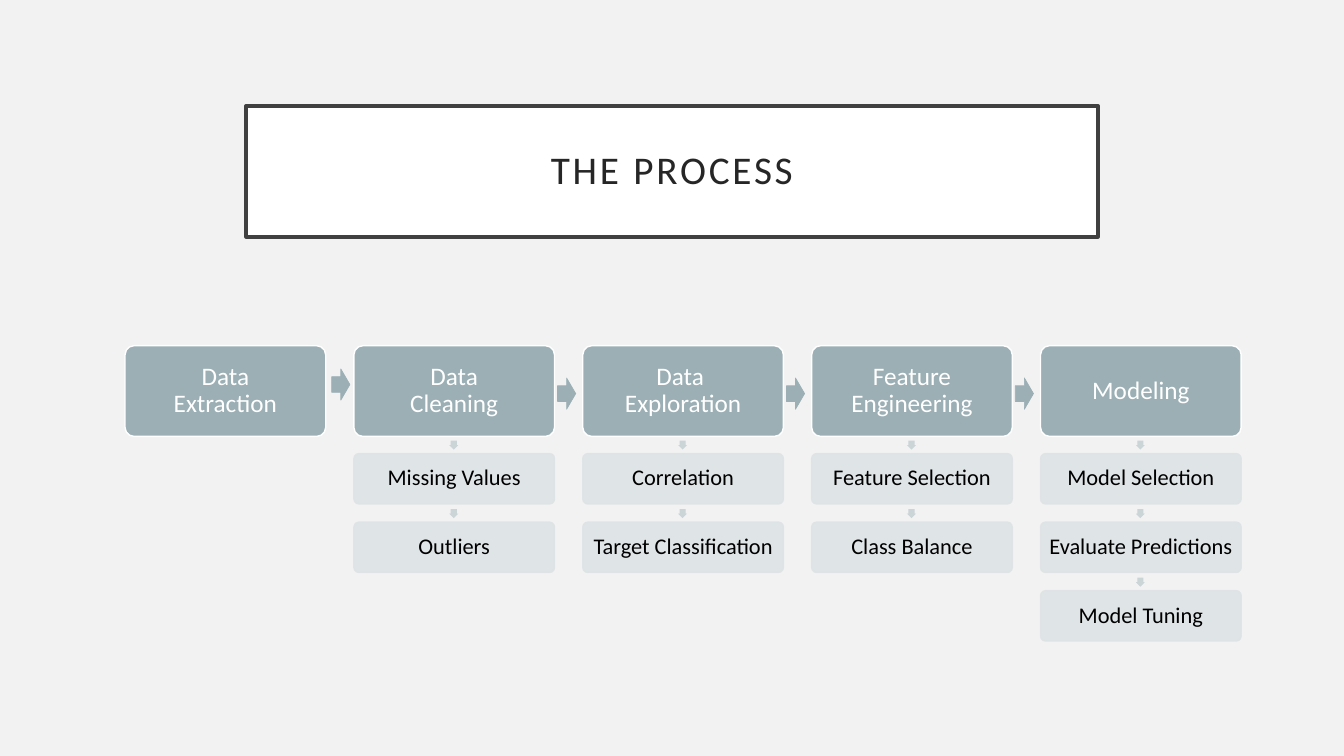
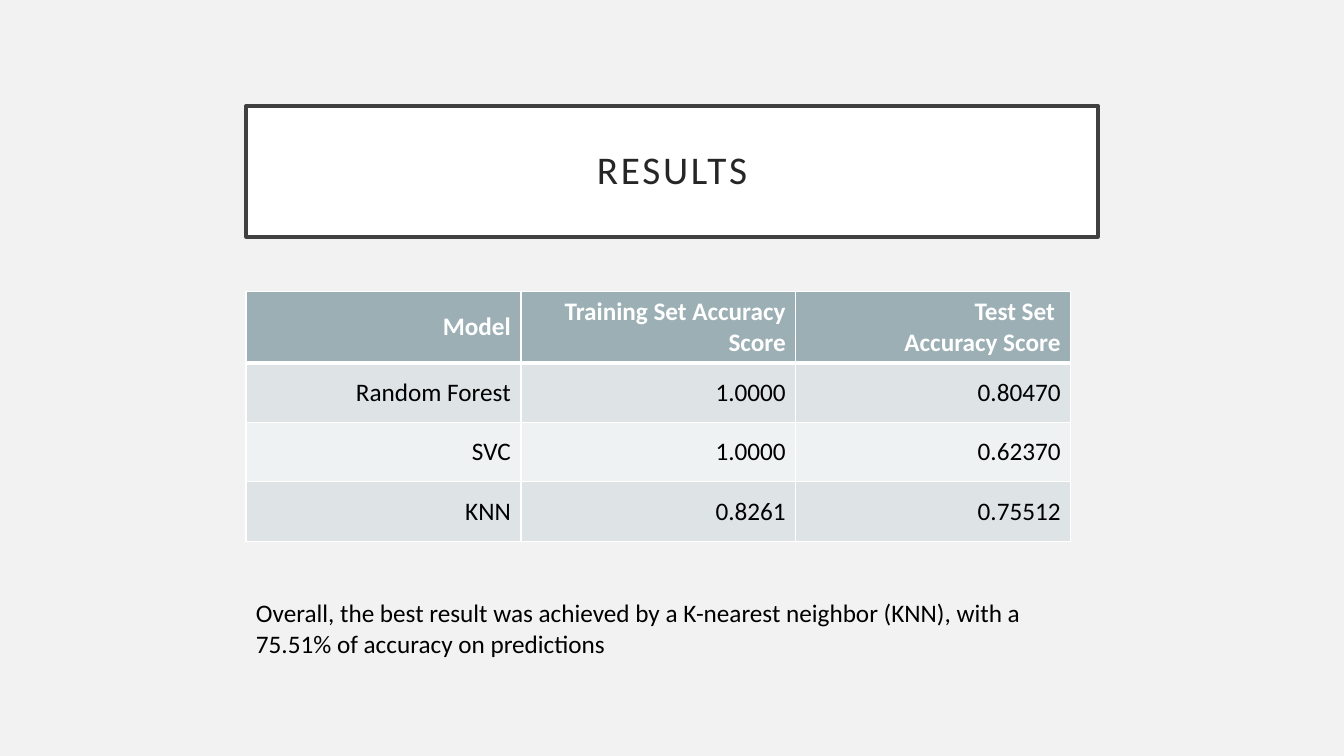
from lxml.etree import SubElement
from pptx import Presentation
from pptx.dml.color import RGBColor as RGB
from pptx.enum.shapes import MSO_SHAPE as SHAPE
from pptx.enum.text import MSO_ANCHOR as ANCHOR, PP_ALIGN as ALIGN
from pptx.oxml.ns import qn
from pptx.util import Inches, Pt

HUES = {
    "back": "F2F2F2", "white": "FFFFFF", "frame": "404040", "title": "262626",
    "black": "000000", "main": "9BAFB5", "arrow": "CBD4D7", "step": "DEE3E5",
    "pale": "EFF2F3",
}
FONT = "Calibri"
STAGES = [
    ("Data\nExtraction", []),
    ("Data\nCleaning", ["Missing Values", "Outliers"]),
    ("Data \nExploration", ["Correlation", "Target Classification"]),
    ("Feature Engineering", ["Feature Selection", "Class Balance"]),
    ("Modeling", ["Model Selection", "Evaluate Predictions", "Model Tuning"]),
]
SCORES = [
    ("Model", "Training Set Accuracy Score", "Test Set \nAccuracy Score"),
    ("Random Forest", "1.0000", "0.80470"),
    ("SVC", "1.0000", "0.62370"),
    ("KNN", "0.8261", "0.75512"),
]
NOTE = ("Overall, the best result was achieved by a K-nearest neighbor (KNN), "
        "with a 75.51% of accuracy on predictions")


def hue(name):
    """Return the named colour."""
    return RGB.from_string(HUES[name])


def write(frame, text, size=18, color="black", align=ALIGN.CENTER, bold=False,
          space=None, lead=None, inset=None, track=0):
    """Put formatted text in a frame."""
    frame.word_wrap = True
    if inset is not None:
        frame.margin_left = frame.margin_right = Inches(inset)
        frame.margin_top = frame.margin_bottom = Inches(inset)
    para = frame.paragraphs[0]
    para.text = text
    para.alignment = align
    para.line_spacing = lead
    para.space_after = space
    for run in para.runs:
        font = run.font
        font.name, font.size, font.bold = FONT, Pt(size), bold
        font.color.rgb = hue(color)
        if track:
            run._r.get_or_add_rPr().set("spc", str(track * 100))


def draw(slide, kind, box, fill, line=None, width=1, adjust=(), alpha=None):
    """Add a preset shape with a flat fill and an optional line."""
    shape = slide.shapes.add_shape(kind, *map(Inches, box))
    shape.shadow.inherit = False
    shape.fill.solid()
    shape.fill.fore_color.rgb = hue(fill)
    if line:
        shape.line.color.rgb = hue(line)
        shape.line.width = Pt(width)
    else:
        shape.line.fill.background()
    for i, value in enumerate(adjust):
        shape.adjustments[i] = value
    if alpha:
        for color in shape._element.spPr.iter(qn("a:srgbClr")):
            SubElement(color, qn("a:alpha"), val=str(alpha * 1000))
    return shape


def label(slide, box, text, size, color, fill, line, inset, alpha=None):
    """Add a rounded box with centred text."""
    shape = draw(slide, SHAPE.ROUNDED_RECTANGLE, box, fill, line,
                 adjust=[0.1], alpha=alpha)
    shape.text_frame.vertical_anchor = ANCHOR.MIDDLE
    write(shape.text_frame, text, size, color, lead=0.9, inset=inset)


def start(deck, title):
    """Add a slide with its framed title."""
    slide = deck.slides.add_slide(deck.slide_layouts[6])
    shape = draw(slide, SHAPE.RECTANGLE, (2.44, 1.05, 8.45, 1.3), "white", "frame", 2.5)
    shape.text_frame.vertical_anchor = ANCHOR.MIDDLE
    write(shape.text_frame, title, 28, "title", lead=0.9, inset=0.2, track=2)
    return slide


def stage(slide, left, top, wide, head, steps):
    """Draw one stage with its steps and the small arrows between them."""
    label(slide, (left, top, wide, 0.9), head, 18, "white", "main", "white", 0.03)
    for i, step in enumerate(steps):
        y = top + 1.07 + i * 0.68
        arrow = draw(slide, SHAPE.RIGHT_ARROW,
                     (left + wide / 2 - 0.05, y - 0.13, 0.09, 0.09),
                     "arrow", adjust=[0.67, 0.5])
        arrow.rotation = 90
        label(slide, (left, y, wide, 0.5), step, 16, "black", "step", "step", 0.02, 90)


def flow(slide, left, top, wide, pitch):
    """Draw the row of stages joined by arrows."""
    for i, (head, steps) in enumerate(STAGES):
        x = left + i * pitch
        stage(slide, x, top, wide, head, steps)
        if i < len(STAGES) - 1:
            dx, dy = (0.03, 0.32) if i else (0.06, 0.23)
            draw(slide, SHAPE.RIGHT_ARROW, (x + wide + dx, top + dy, 0.18, 0.31),
                 "main", "main", 0.5)


def edge(cell, sides):
    """Give a cell white borders of the given widths."""
    props = cell._tc.get_or_add_tcPr()
    for side, width in sides.items():
        line = SubElement(props, qn("a:ln" + side), w=str(Pt(width)))
        fill = SubElement(line, qn("a:solidFill"))
        SubElement(fill, qn("a:srgbClr"), val=HUES["white"])


def grid(slide, left, top, wide, rows):
    """Add the table of scores."""
    highs = [0.71] + [0.59] * (len(rows) - 1)
    box = map(Inches, (left, top, wide, sum(highs)))
    table = slide.shapes.add_table(len(rows), len(rows[0]), *box).table
    for col in table.columns:
        col.width = Inches(wide / len(rows[0]))
    for r, row in enumerate(rows):
        table.rows[r].height = Inches(highs[r])
        fill = "main" if r == 0 else "step" if r % 2 else "pale"
        for c, text in enumerate(row):
            cell = table.cell(r, c)
            cell.vertical_anchor = ANCHOR.MIDDLE
            write(cell.text_frame, text, color="black" if r else "white",
                  align=ALIGN.RIGHT, bold=r == 0)
            edge(cell, {"L": 1, "R": 1, "T": 3 if r == 1 else 1, "B": 1 if r else 3})
            cell.fill.solid()
            cell.fill.fore_color.rgb = hue(fill)


def main():
    """Build and save the deck."""
    deck = Presentation()
    deck.slide_width, deck.slide_height = Inches(13.33), Inches(7.5)
    back = deck.slide_master.background.fill
    back.solid()
    back.fore_color.rgb = hue("back")
    flow(start(deck, "THE PROCESS"), 1.24, 3.43, 1.99, 2.27)
    slide = start(deck, "RESULTS")
    grid(slide, 2.44, 2.89, 8.18, SCORES)
    note = slide.shapes.add_textbox(*map(Inches, (2.44, 5.88, 8.45, 0.71)))
    write(note.text_frame, NOTE, align=ALIGN.LEFT)
    deck.save("out.pptx")


if __name__ == "__main__":
    main()
